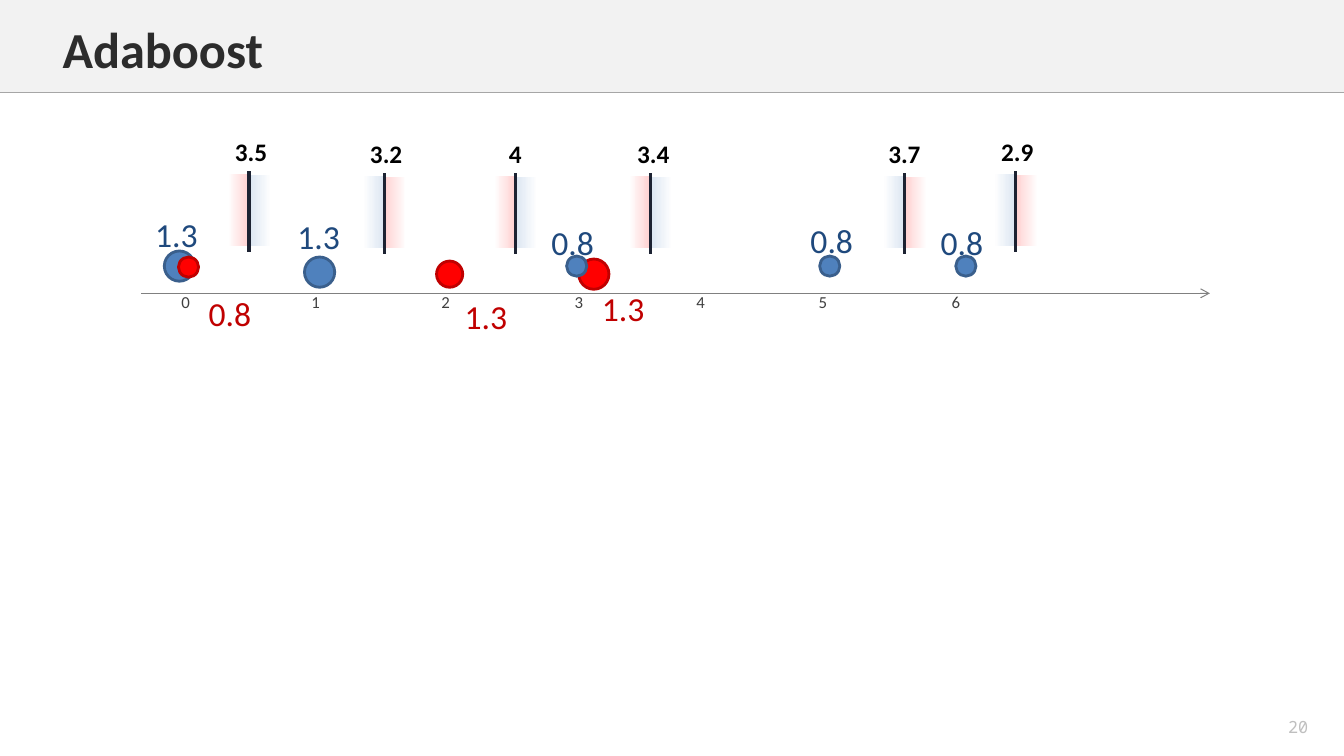
from dataclasses import dataclass

from lxml.etree import SubElement
from pptx import Presentation
from pptx.dml.color import RGBColor as RGB
from pptx.enum.shapes import MSO_CONNECTOR as LINK, MSO_SHAPE as SHAPE
from pptx.enum.text import MSO_ANCHOR as ANCHOR, MSO_AUTO_SIZE as FIT, PP_ALIGN as ALIGN
from pptx.oxml.ns import qn
from pptx.util import Pt

PX = 9144  # 100 px to the inch


@dataclass(frozen=True)
class Theme:
    sans: str = "Calibri"
    mono: str = "Noto Sans Mono"
    title: int = 36
    weight: int = 24
    score: int = 18
    small: int = 12
    band: str = "F2F2F2"
    rule: str = "A6A6A6"
    page: str = "BFBFBF"
    head: str = "2C2C2C"
    axis: str = "808080"
    tick: str = "404040"
    cut: str = "1C2232"
    black: str = "000000"
    white: str = "FFFFFF"
    blue: str = "4F81BD"
    blue_edge: str = "3A5F8C"
    blue_text: str = "1F497D"
    blue_pale: str = "DCE6F2"
    red: str = "FF0000"
    red_edge: str = "C00000"
    red_pale: str = "FFD1D1"


def rgb(code):
    return RGB.from_string(code)


class Board:
    def __init__(self, slide, theme):
        self.slide, self.theme = slide, theme
        self.shapes = slide.shapes

    def label(self, box, text, size, color, bold=False, align=ALIGN.CENTER,
              anchor=ANCHOR.MIDDLE, face=None, tabs=()):
        """Fill a box with one styled paragraph."""
        frame = box.text_frame
        frame.word_wrap = True
        frame.auto_size = FIT.NONE
        frame.vertical_anchor = anchor
        para = frame.paragraphs[0]
        para.text = text
        para.alignment = align
        if tabs:
            stops = SubElement(para._p.get_or_add_pPr(), qn("a:tabLst"))
            for pos in tabs:
                SubElement(stops, qn("a:tab"), pos=str(pos * PX), algn="l")
        font = para.font
        font.name, font.size, font.bold = face or self.theme.sans, Pt(size), bold
        font.color.rgb = rgb(color)

    def title(self, text, x, y, w, h):
        box = self.shapes.title
        box.left, box.top, box.width, box.height = (v * PX for v in (x, y, w, h))
        self.label(box, text, self.theme.title, self.theme.head, True,
                   ALIGN.LEFT, ANCHOR.TOP)
        self.shapes.element.append(box.element)  # in front of the band

    def text(self, text, x, y, w, h, size, color, **style):
        box = self.shapes.add_textbox(x * PX, y * PX, w * PX, h * PX)
        self.label(box, text, size, color, **style)

    def shape(self, kind, x, y, w, h, fill=None, edge=None):
        item = self.shapes.add_shape(kind, x * PX, y * PX, w * PX, h * PX)
        item.shadow.inherit = False
        if fill:
            item.fill.solid()
            item.fill.fore_color.rgb = rgb(fill)
        if edge:
            item.line.color.rgb = rgb(edge)
            item.line.width = Pt(2)
        else:
            item.line.fill.background()
        return item

    def line(self, x1, y1, x2, y2, color, width, arrow=False):
        link = self.shapes.add_connector(
            LINK.STRAIGHT, x1 * PX, y1 * PX, x2 * PX, y2 * PX)
        link.line.color.rgb = rgb(color)
        link.line.width = Pt(width)
        props = link.element.spPr
        if arrow:
            SubElement(props.find(qn("a:ln")), qn("a:tailEnd"), type="arrow")
        SubElement(props, qn("a:effectLst"))

    def glow(self, x, y, w, h, turn, color):
        """Draw a turned bar that fades from colour at its foot to white."""
        bar = self.shape(SHAPE.RECTANGLE, x, y, w, h)
        bar.rotation = turn
        bar.fill.gradient()
        bar.fill.gradient_angle = 270
        for stop, pos, tone in zip(bar.fill.gradient_stops, (0, 0.98),
                                   (self.theme.white, color)):
            stop.position = pos
            stop.color.rgb = rgb(tone)

    def stump(self, x, y, score, mid, left, right):
        """Draw a decision cut with its two sides and its score."""
        self.glow(x - 24, y + 28, 70, 22, 90, right)
        self.glow(x - 46, y + 28, 71, 21, 270, left)
        self.line(x, y, x, y + 80, self.theme.cut, 2.25)
        self.text(score, mid - 30, y - 38, 60, 37, self.theme.score,
                  self.theme.black, bold=True)

    def dot(self, x, y, size, fill, edge):
        self.shape(SHAPE.FLOWCHART_CONNECTOR, x, y, size, size, fill, edge)


def main():
    deck = Presentation()
    deck.slide_width, deck.slide_height = 1333 * PX, 750 * PX
    look = Theme()
    board = Board(deck.slides.add_slide(deck.slide_layouts[5]), look)

    board.shape(SHAPE.RECTANGLE, 0, 0, 1333, 92, look.band)
    board.line(0, 92, 1333, 92, look.rule, 1)
    board.text("20", 1244, 706, 87, 31, look.small, look.page, face=look.mono)

    red, blue = (look.red, look.red_edge), (look.blue, look.blue_edge)
    for x, y, size, tone in (
            (574, 257, 30, red), (163, 249, 30, blue), (433, 259, 26, red),
            (177, 255, 20, red), (302, 255, 30, blue), (562, 254, 20, blue),
            (813, 254, 20, blue), (948, 254, 20, blue)):
        board.dot(x, y, size, *tone)

    board.line(140, 291, 1200, 291, look.axis, 0.75, arrow=True)
    board.text("\t".join(str(n) for n in range(7)), 170, 281, 977, 37,
               look.small, look.tick, align=ALIGN.LEFT,
               tabs=(129, 258, 390, 511, 632, 764))

    rising = (look.red_pale, look.blue_pale)
    falling = rising[::-1]
    for x, y, score, mid, sides in (
            (381, 172, "3.2", 383, falling), (511, 172, "4", 511, rising),
            (645, 172, "3.4", 648, rising), (897, 172, "3.7", 897, falling),
            (1007, 170, "2.9", 1009, falling), (247, 170, "3.5", 249, rising)):
        board.stump(x, y, score, mid, *sides)

    for weight, mid, y, color in (
            ("1.3", 618, 281, look.red_edge), ("0.8", 825, 214, look.blue_text),
            ("1.3", 482, 289, look.red_edge), ("0.8", 228, 286, look.red_edge),
            ("0.8", 954, 216, look.blue_text), ("0.8", 568, 216, look.blue_text),
            ("1.3", 316, 210, look.blue_text), ("1.3", 175, 208, look.blue_text)):
        board.text(weight, mid - 43, y, 86, 49, look.weight, color)

    board.title("Adaboost", 52, 13, 1189, 71)
    deck.save("out.pptx")


if __name__ == "__main__":
    main()
